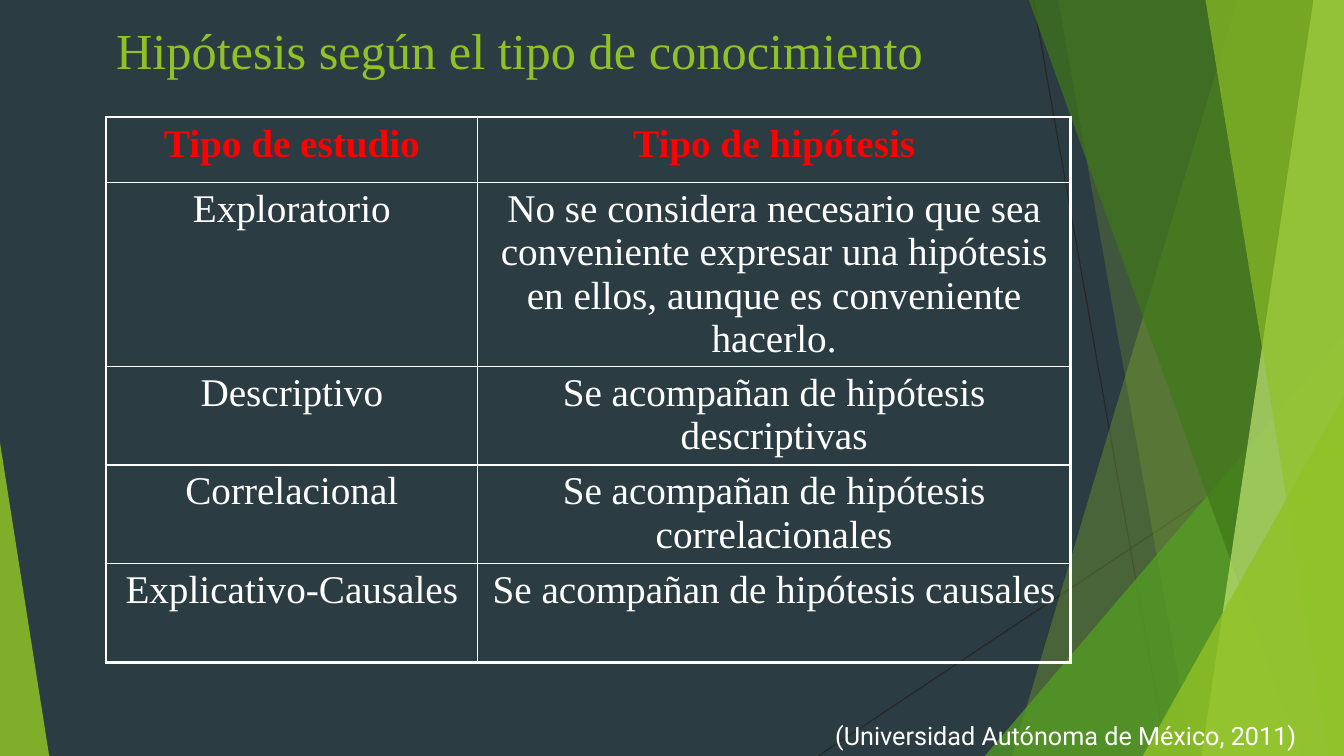
from lxml import etree
from pptx import Presentation
from pptx import util as u
from pptx.dml.color import RGBColor
from pptx.enum import shapes, text
from pptx.oxml.ns import qn

Cm, Pt = u.Cm, u.Pt
WIDTH, HEIGHT = 33.87, 19.05
SERIF, SANS = "Times New Roman", "Roboto"
DARK, GREEN, WHITE, RED = "2C3C43", "90C226", "FFFFFF", "FF0000"

TITLE = "Hipótesis según el tipo de conocimiento"
CITATION = "(Universidad Autónoma de México, 2011)"
ROWS = [
    ("Tipo de estudio", "Tipo de hipótesis"),
    ("Exploratorio", "No se considera necesario que sea conveniente expresar "
     "una hipótesis en ellos, aunque es conveniente hacerlo."),
    ("Descriptivo", "Se acompañan de hipótesis descriptivas"),
    ("Correlacional", "Se acompañan de hipótesis correlacionales"),
    ("Explicativo-Causales", "Se acompañan de hipótesis causales"),
]
COL_WIDTHS = [9.37, 14.94]
ROW_HEIGHTS = [1.65, 4.06, 2.49, 2.49, 2.49]

# Lines: x1, y1, x2, y2
RAYS = [(26.04, 0, 29.41, HEIGHT), (WIDTH, 10.24, 20.62, HEIGHT)]
# Bands reach the right edge: top-left x, bottom-left x, colour, opacity %
BACK_BANDS = [(31.19, 25.5, GREEN, 30), (26.67, 30.05, GREEN, 20)]
FRONT_BANDS = [(25.93, 32.79, "3F7819", 70), (33.1, 30.28, "C0E474", 70),
               (30.38, 33.48, GREEN, 65)]
# Triangles stand on the bottom edge: left, right, top, apex, colour, opacity %
BACK_TRIANGLE = (24.82, WIDTH, 8.46, 1, "54A021", 72)
FRONT_TRIANGLES = [(28.8, WIDTH, 9.98, 1, GREEN, 80),
                   (0, 1.24, 11.15, 0, GREEN, 85)]


def rgb(color):
    """Turn a hex string into a colour."""
    return RGBColor.from_string(color)


def paint(sp, color, opacity):
    """Give a shape a translucent fill without line or shadow."""
    sp.shadow.inherit = False
    sp.line.fill.background()
    sp.fill.solid()
    sp.fill.fore_color.rgb = rgb(color)
    clr = sp.fill._xPr.find(".//" + qn("a:srgbClr"))
    etree.SubElement(clr, qn("a:alpha"), val=str(opacity * 1000))


def add_ray(group, x1, y1, x2, y2):
    """Draw a thin dark line."""
    line = group.shapes.add_connector(
        shapes.MSO_CONNECTOR.STRAIGHT, Cm(x1), Cm(y1), Cm(x2), Cm(y2))
    line.line.color.rgb = rgb("262626")
    line.line.width = Pt(0.75)
    etree.SubElement(line.element.spPr, qn("a:effectLst"))


def add_band(group, top_x, bottom_x, color, opacity):
    """Draw a slanted band that runs to the right edge."""
    builder = group.shapes.build_freeform(Cm(top_x), 0)
    corners = [(WIDTH, 0), (WIDTH, HEIGHT), (bottom_x, HEIGHT)]
    builder.add_line_segments([(Cm(x), Cm(y)) for x, y in corners], close=True)
    paint(builder.convert_to_shape(), color, opacity)


def add_triangle(group, left, right, top, apex, color, opacity):
    """Draw a triangle that stands on the bottom edge."""
    sp = group.shapes.add_shape(
        shapes.MSO_SHAPE.ISOSCELES_TRIANGLE, Cm(left), Cm(top),
        Cm(right - left), Cm(HEIGHT - top))
    sp.adjustments[0] = apex
    paint(sp, color, opacity)


def set_text(tf, content, font, size, color, bold=False,
             align=text.PP_ALIGN.LEFT):
    """Write one formatted paragraph into a text frame."""
    tf.text = content
    p = tf.paragraphs[0]
    p.alignment = align
    f = p.runs[0].font
    f.name, f.size, f.bold = font, Pt(size), bold
    f.color.rgb = rgb(color)


def set_borders(cell, outer):
    """Draw white cell borders, thicker on the outer sides."""
    tcPr = cell._tc.get_or_add_tcPr()
    for i, side in enumerate("LRTB"):
        width = Pt(2.25 if side in outer else 1)
        ln = etree.Element(qn("a:ln" + side), w=str(width))
        fill = etree.SubElement(ln, qn("a:solidFill"))
        etree.SubElement(fill, qn("a:srgbClr"), val=WHITE)
        tcPr.insert(i, ln)


def add_decoration(s):
    """Draw the faceted background shapes as one group."""
    group = s.shapes.add_group_shape()
    for ray in RAYS:
        add_ray(group, *ray)
    for band in BACK_BANDS:
        add_band(group, *band)
    add_triangle(group, *BACK_TRIANGLE)
    for band in FRONT_BANDS:
        add_band(group, *band)
    for triangle in FRONT_TRIANGLES:
        add_triangle(group, *triangle)


def add_study_table(s):
    """Build the table of study types and hypotheses."""
    table = s.shapes.add_table(
        len(ROWS), len(COL_WIDTHS), Cm(2.67), Cm(2.95),
        Cm(sum(COL_WIDTHS)), Cm(sum(ROW_HEIGHTS))).table
    table.first_row = table.horz_banding = False
    for column, width in zip(table.columns, COL_WIDTHS):
        column.width = Cm(width)
    for i, (row, height) in enumerate(zip(table.rows, ROW_HEIGHTS)):
        row.height = Cm(height)
        header = i == 0
        for j, content in enumerate(ROWS[i]):
            cell = table.cell(i, j)
            cell.fill.background()
            set_text(cell.text_frame, content, SERIF, 28,
                     RED if header else WHITE, header, text.PP_ALIGN.CENTER)
            outer = "LR"[j]
            if header:
                outer += "T"
            if i == len(ROWS) - 1:
                outer += "B"
            set_borders(cell, outer)


def place_title(s):
    """Format the title placeholder and bring it to the front."""
    title = s.shapes.title
    title.left, title.top = Cm(2.67), Cm(0.36)
    title.width, title.height = Cm(23.88), Cm(3.66)
    tf = title.text_frame
    set_text(tf, TITLE, SERIF, 36, GREEN)
    tf.vertical_anchor = text.MSO_ANCHOR.TOP
    tf.auto_size = text.MSO_AUTO_SIZE.NONE
    title.element.getparent().append(title.element)


def add_citation(s):
    """Add the source citation at the bottom right."""
    box = s.shapes.add_textbox(Cm(20.8), Cm(18.03), Cm(13.06), Cm(1.02))
    tf = box.text_frame
    tf.word_wrap = True
    tf.auto_size = text.MSO_AUTO_SIZE.SHAPE_TO_FIT_TEXT
    set_text(tf, CITATION, SANS, 18, WHITE)


prs = Presentation()
prs.slide_width, prs.slide_height = Cm(WIDTH), Cm(HEIGHT)
s = prs.slides.add_slide(prs.slide_layouts[5])
s.background.fill.solid()
s.background.fill.fore_color.rgb = rgb(DARK)
add_decoration(s)
add_study_table(s)
place_title(s)
add_citation(s)
prs.save("out.pptx")
